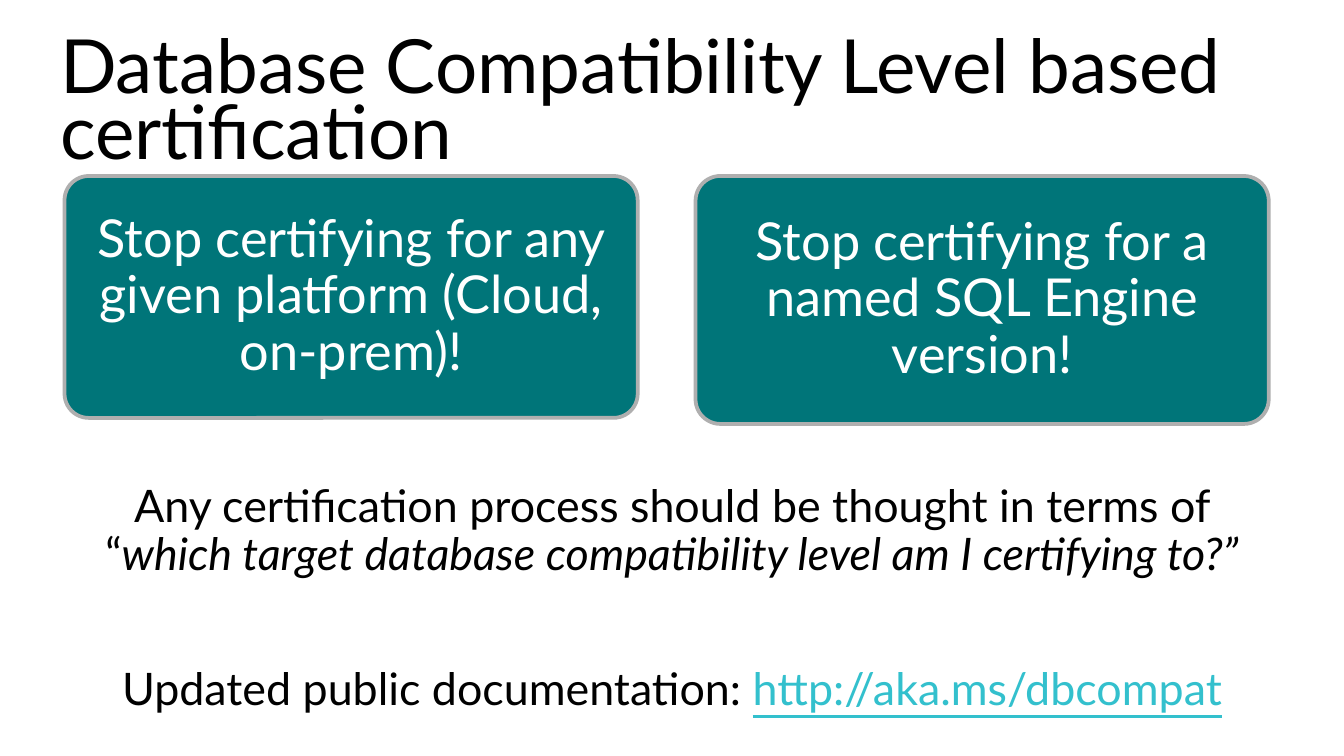
import pptx
import pptx.util
import pptx.dml.color
import pptx.enum.shapes
import pptx.enum.text
from dataclasses import dataclass

PX = 4572
ALIGN = pptx.enum.text.PP_ALIGN
ANCHOR = pptx.enum.text.MSO_ANCHOR


@dataclass(frozen=True)
class Theme:
    """Hold the colours, font and type sizes."""
    font: str = "Lato"
    ink: str = "000000"
    pale: str = "FFFFFF"
    teal: str = "007579"
    edge: str = "AFAFAF"
    link: str = "33C0CD"
    head: int = 40
    card: int = 28
    body: int = 24


THEME = Theme()


def tint(code):
    """Turn a hex code into a colour."""
    return pptx.dml.color.RGBColor.from_string(code)


def scale(*sizes):
    """Turn px lengths into EMU."""
    return [size * PX for size in sizes]


def set_frame(frame, insets, anchor):
    """Set wrapping, insets and anchor of a text frame."""
    frame.word_wrap = True
    frame.vertical_anchor = anchor
    (frame.margin_left, frame.margin_top,
     frame.margin_right, frame.margin_bottom) = scale(*insets)


def add_run(para, text, size, color, italic=False, under=False):
    """Add one styled run to a paragraph."""
    run = para.add_run()
    run.text = text
    font = run.font
    font.name, font.size = THEME.font, pptx.util.Pt(size)
    font.color.rgb = tint(color)
    font.italic, font.underline = italic, under


def add_title(slide, box, text):
    """Place the title with tight line spacing."""
    frame = slide.shapes.add_textbox(*scale(*box)).text_frame
    set_frame(frame, (20, 10, 20, 10), ANCHOR.TOP)
    para = frame.paragraphs[0]
    para.line_spacing = pptx.util.Pt(35)
    add_run(para, text, THEME.head, THEME.ink)


def add_card(slide, box, text):
    """Place one rounded card with centred text."""
    kind = pptx.enum.shapes.MSO_SHAPE.ROUNDED_RECTANGLE
    card = slide.shapes.add_shape(kind, *scale(*box))
    card.adjustments[0] = 0.1
    card.shadow.inherit = False
    card.fill.solid()
    card.fill.fore_color.rgb = tint(THEME.teal)
    card.line.color.rgb = tint(THEME.edge)
    card.line.width = pptx.util.Pt(2)
    set_frame(card.text_frame, (12, 8, 12, 8), ANCHOR.MIDDLE)
    para = card.text_frame.paragraphs[0]
    para.alignment, para.line_spacing = ALIGN.CENTER, 0.9
    add_run(para, text, THEME.card, THEME.pale)


def add_cards(slide, box, gap, cards):
    """Place a row of equal-width cards, each with its own height."""
    left, top, width = box
    wide = (width - gap * (len(cards) - 1)) // len(cards)
    for spot, (text, high) in enumerate(cards):
        add_card(slide, (left + spot * (wide + gap), top, wide, high), text)


def add_body(slide, box, paras):
    """Place centred paragraphs built from styled runs."""
    frame = slide.shapes.add_textbox(*scale(*box)).text_frame
    set_frame(frame, (20, 118, 20, 8), ANCHOR.TOP)
    for spot, runs in enumerate(paras):
        para = frame.add_paragraph() if spot else frame.paragraphs[0]
        para.alignment, para.line_spacing = ALIGN.CENTER, 0.9
        if spot:
            para.space_before = pptx.util.Pt(46)
        for text, color, italic, under in runs:
            add_run(para, text, THEME.body, color, italic, under)


def main():
    """Build the slide and save it."""
    deck = pptx.Presentation()
    deck.slide_width, deck.slide_height = scale(2000, 1125)
    slide = deck.slides.add_slide(deck.slide_layouts[6])
    add_cards(slide, (96, 262, 1792), 86, [
        ("Stop certifying for any given platform (Cloud, on-prem)!", 360),
        ("Stop certifying for a named SQL Engine version!", 369),
    ])
    add_title(slide, (70, 55, 1854, 134),
              "Database Compatibility Level based certification")
    add_body(slide, (96, 602, 1808, 468), [
        [("Any certification process should be thought in terms of “",
          THEME.ink, False, False),
         ("which target database compatibility level am I certifying to?”",
          THEME.ink, True, False)],
        [("Updated public documentation: ", THEME.ink, False, False),
         ("http://aka.ms/dbcompat", THEME.link, False, True)],
    ])
    deck.save("out.pptx")


if __name__ == "__main__":
    main()
